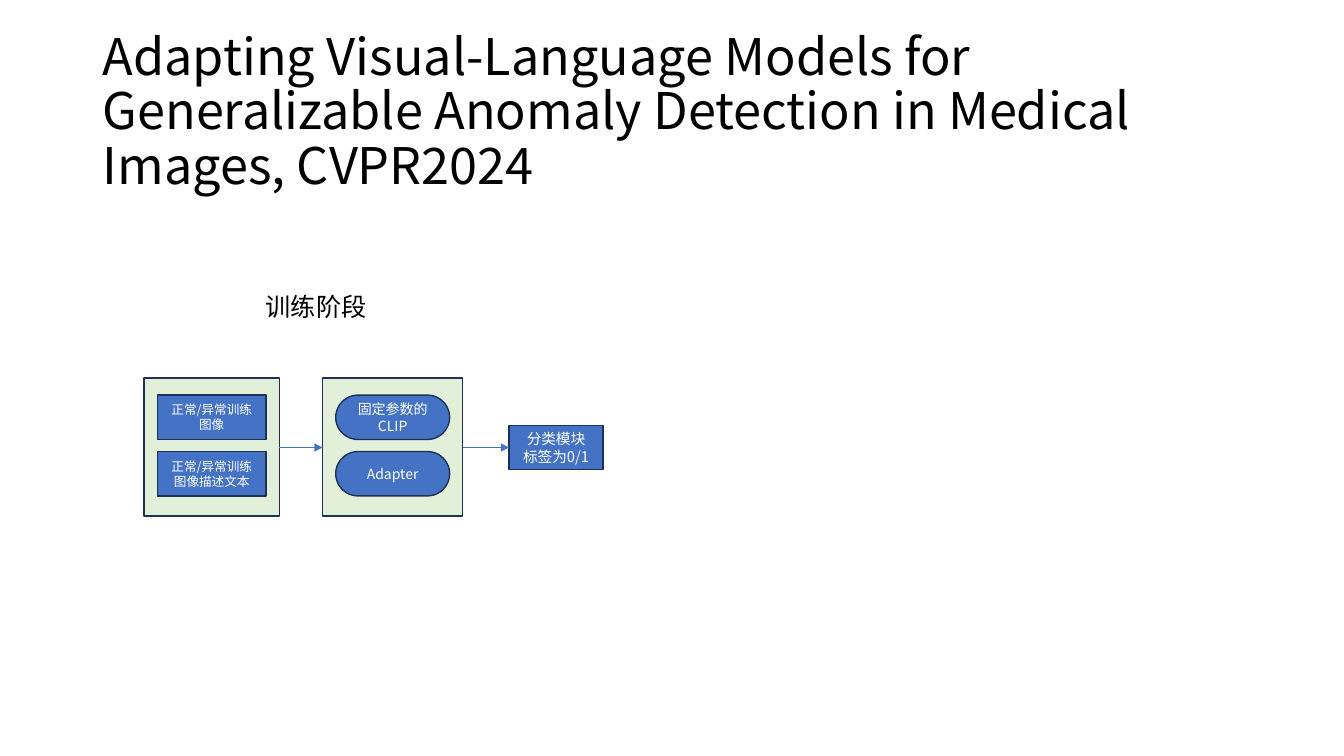
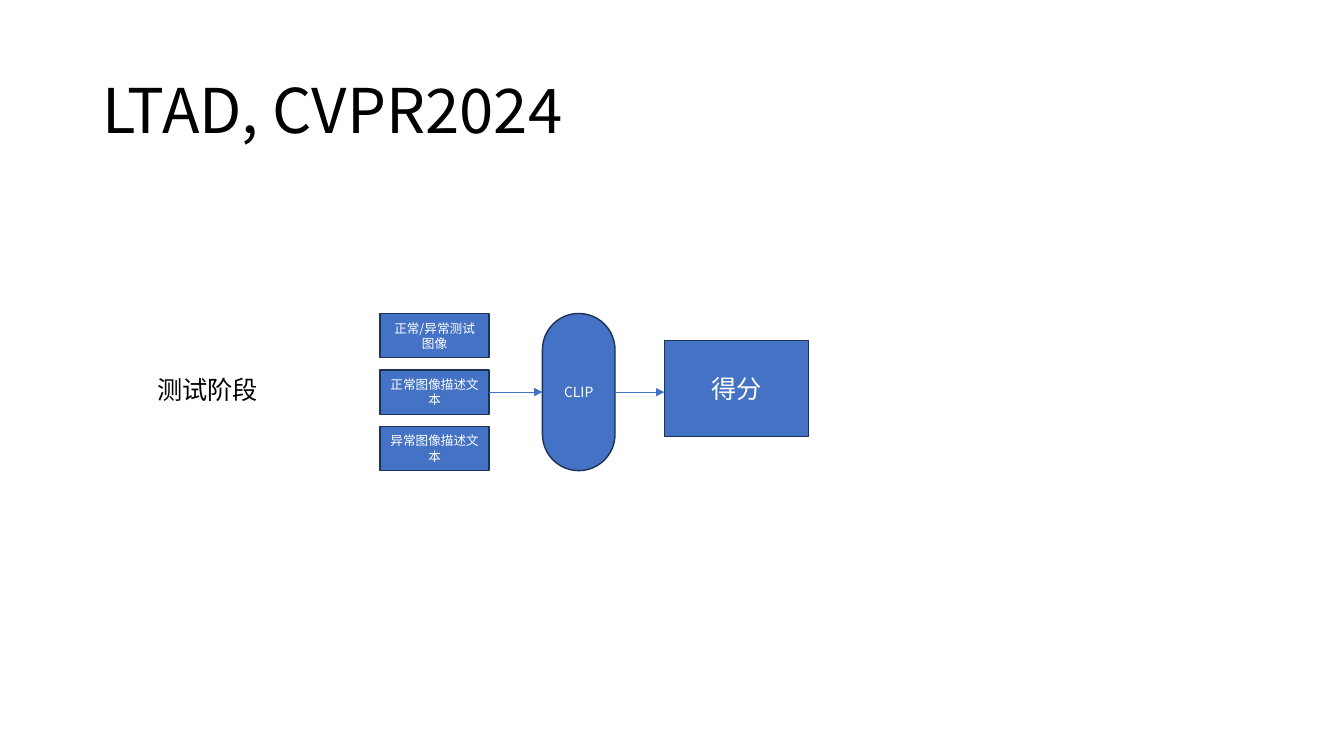
from typing import NamedTuple

from lxml.etree import SubElement
from pptx import Presentation
from pptx.dml.color import RGBColor
from pptx.enum.shapes import MSO_CONNECTOR as Connector, MSO_SHAPE as Shape
from pptx.enum.text import MSO_ANCHOR as Anchor, PP_ALIGN as Align
from pptx.oxml.ns import qn
from pptx.util import Pt

PX = 9144  # EMU, 100 px to the inch
FONT = "Noto Sans CJK SC"
BLACK = RGBColor(0x00, 0x00, 0x00)
WHITE = RGBColor(0xFF, 0xFF, 0xFF)
BLUE = RGBColor(0x44, 0x72, 0xC4)
NAVY = RGBColor(0x1E, 0x32, 0x56)
PALE_GREEN = RGBColor(0xE2, 0xF0, 0xD9)

NODE_HEIGHT = 44
NODE_PITCH = 56
INPUT_WIDTH = 108
PANEL_HEIGHT = 137
PANEL_PAD_X, PANEL_PAD_Y = 13, 17


class Box(NamedTuple):
    left: int
    top: int
    width: int
    height: int

    @property
    def right(self):
        return self.left + self.width

    @property
    def middle(self):
        return self.top + self.height // 2

    def emu(self):
        return [length * PX for length in self]


TITLE_BOX = Box(92, 40, 1150, 145)


def write(shape, text, size, color, align=Align.CENTER, anchor=Anchor.MIDDLE, spacing=None):
    frame = shape.text_frame
    frame.word_wrap = True
    frame.vertical_anchor = anchor
    frame.text = text
    for para in frame.paragraphs:
        para.alignment = align
        para.line_spacing = spacing
        font = para.font
        font.size, font.name = Pt(size), FONT
        font.color.rgb = color
        defaults = para._p.pPr.find(qn("a:defRPr"))
        SubElement(defaults, qn("a:ea"), typeface=FONT)


def add_title(page, text, size):
    write(page.shapes.add_textbox(*TITLE_BOX.emu()), text, size, BLACK,
          align=Align.LEFT, spacing=0.9)


def add_stage_label(page, box, text):
    write(page.shapes.add_textbox(*box.emu()), text, 18, BLACK, anchor=Anchor.TOP)


def add_node(page, box, text="", size=9, kind=Shape.RECTANGLE, fill=BLUE):
    node = page.shapes.add_shape(kind, *box.emu())
    node.shadow.inherit = False
    node.fill.solid()
    node.fill.fore_color.rgb = fill
    node.line.color.rgb = NAVY
    node.line.width = Pt(1)
    if kind == Shape.ROUNDED_RECTANGLE:
        node.adjustments[0] = 0.5
    if text:
        write(node, text, size, WHITE)


def add_stack(page, left, top, width, texts, **style):
    for row, text in enumerate(texts):
        box = Box(left, top + row * NODE_PITCH, width, NODE_HEIGHT)
        add_node(page, box, text, **style)


def add_panel(page, box, texts, **style):
    """Draw a green panel with a stack of nodes inside its padding."""
    add_node(page, box, fill=PALE_GREEN)
    add_stack(page, box.left + PANEL_PAD_X, box.top + PANEL_PAD_Y,
              box.width - 2 * PANEL_PAD_X, texts, **style)


def add_arrow(page, start, end, y):
    arrow = page.shapes.add_connector(
        Connector.STRAIGHT, start * PX, y * PX, end * PX, y * PX)
    arrow.line.color.rgb = BLUE
    arrow.line.width = Pt(0.5)
    properties = arrow._element.spPr
    SubElement(properties.find(qn("a:ln")), qn("a:tailEnd"), type="triangle")
    SubElement(properties, qn("a:effectLst"))


def add_training_flow(page, left, top):
    inputs = Box(left, top, INPUT_WIDTH + 2 * PANEL_PAD_X, PANEL_HEIGHT)
    model = Box(left + 177, top, 139, PANEL_HEIGHT)
    flow_y = top + 69
    classifier = Box(left + 362, flow_y - NODE_HEIGHT // 2, 93, NODE_HEIGHT)

    add_panel(page, inputs, ["正常/异常训练图像", "正常/异常训练图像描述文本"])
    add_panel(page, model, ["固定参数的CLIP", "Adapter"],
              size=10, kind=Shape.ROUNDED_RECTANGLE)
    add_node(page, classifier, "分类模块\n标签为0/1", size=10.5)
    add_arrow(page, inputs.right, model.left, flow_y)
    add_arrow(page, model.right, classifier.left, flow_y)


def add_test_flow(page, left, top):
    inputs = ["正常/异常测试图像", "正常图像描述文本", "异常图像描述文本"]
    stack_height = (len(inputs) - 1) * NODE_PITCH + NODE_HEIGHT
    model = Box(left + 161, top, 72, stack_height)
    score = Box(left + 282, top + 27, 143, 95)

    add_stack(page, left, top, INPUT_WIDTH, inputs)
    add_node(page, model, "CLIP", size=10, kind=Shape.ROUNDED_RECTANGLE)
    add_node(page, score, "得分", size=18)
    add_arrow(page, left + INPUT_WIDTH, model.left, model.middle)
    add_arrow(page, model.right, score.left, model.middle)


def add_training_slide(page):
    add_title(page, "Adapting Visual-Language Models for Generalizable "
                    "Anomaly Detection in Medical Images, CVPR2024", 36)
    add_stage_label(page, Box(168, 284, 291, 40), "训练阶段")
    add_training_flow(page, 143, 375)


def add_test_slide(page):
    add_title(page, "LTAD, CVPR2024", 44)
    add_stage_label(page, Box(128, 366, 156, 40), "测试阶段")
    add_test_flow(page, 377, 311)


def main():
    deck = Presentation()
    deck.slide_width, deck.slide_height = 1333 * PX, 750 * PX
    blank = deck.slide_layouts[6]
    for fill_page in (add_training_slide, add_test_slide):
        fill_page(deck.slides.add_slide(blank))
    deck.save("out.pptx")


if __name__ == "__main__":
    main()
